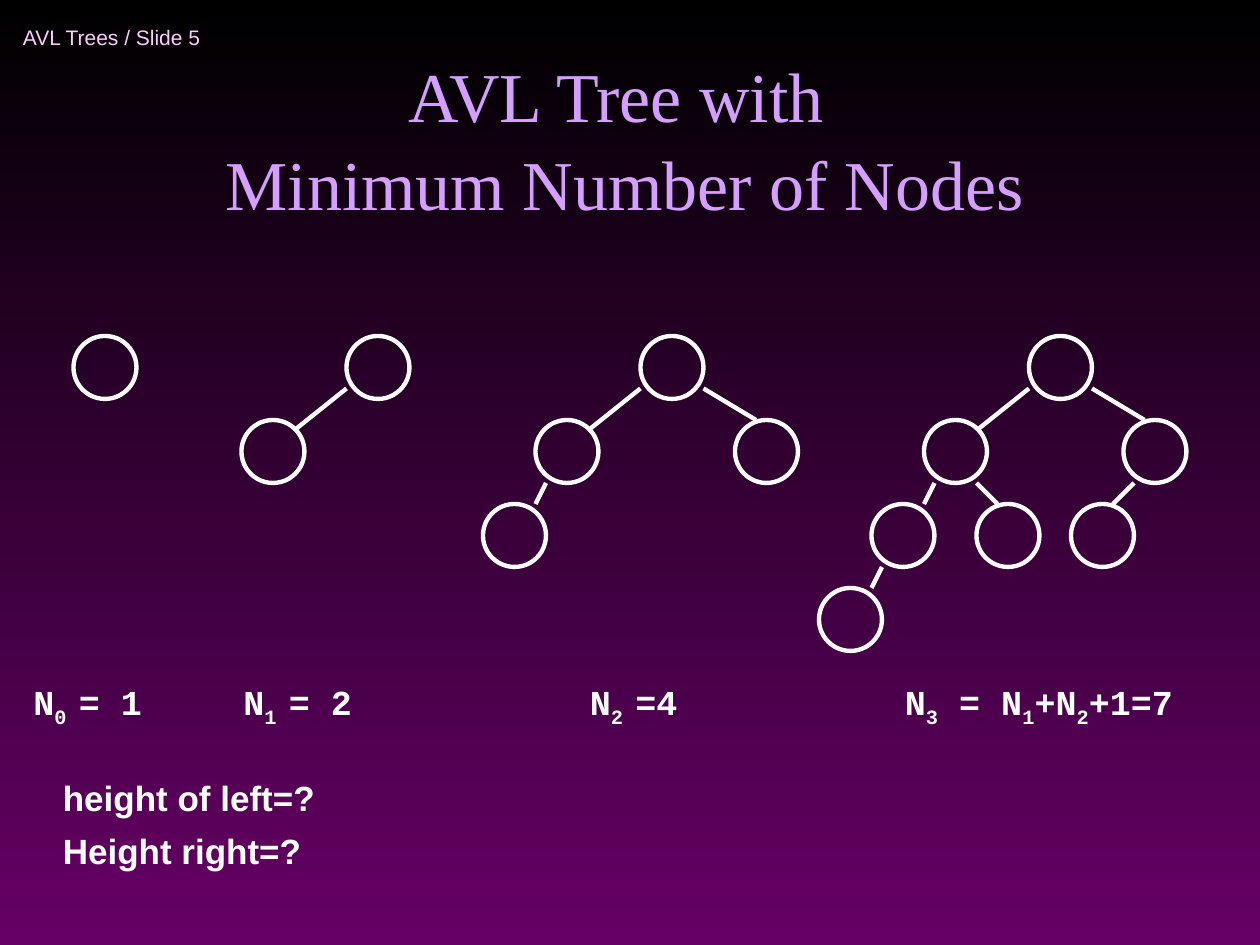
import dataclasses

import pptx
import pptx.dml.color
import pptx.enum.shapes
import pptx.enum.text
import pptx.oxml.ns
import pptx.util
from lxml import etree

Pt = pptx.util.Pt
Align = pptx.enum.text.PP_ALIGN
Anchor = pptx.enum.text.MSO_ANCHOR
Fit = pptx.enum.text.MSO_AUTO_SIZE


@dataclasses.dataclass(frozen=True)
class Theme:
    top: str = "000000"
    bottom: str = "660066"
    ink: str = "FFFFFF"
    title: str = "D49FFF"
    header: str = "FFCCFF"
    sans: str = "Arial"
    serif: str = "Times New Roman"
    mono: str = "Courier New"
    header_size: int = 12
    title_size: int = 40
    body_size: int = 20
    stroke: float = 2.5
    node: int = 36
    line_spacing: float = 1.05


def rgb(value):
    return pptx.dml.color.RGBColor.from_string(value)


class TreeSlide:
    def __init__(self, slide, theme):
        self.slide = slide
        self.theme = theme

    def background(self):
        fill = self.slide.background.fill
        fill.gradient()
        fill.gradient_angle = 270
        colours = (self.theme.top, self.theme.bottom)
        for stop, colour, position in zip(fill.gradient_stops, colours, (0, 1)):
            stop.color.rgb = rgb(colour)
            stop.position = position

    def frame(self, left, top, width, height, wrap=True, anchor=Anchor.TOP, fit=Fit.NONE):
        box = self.slide.shapes.add_textbox(Pt(left), Pt(top), Pt(width), Pt(height))
        frame = box.text_frame
        frame.word_wrap = wrap
        frame.vertical_anchor = anchor
        frame.auto_size = fit
        return frame

    def style(self, frame, font, size, colour, bold=False, align=Align.LEFT):
        for paragraph in frame.paragraphs:
            paragraph.alignment = align
            paragraph.line_spacing = self.theme.line_spacing
            for run in paragraph.runs:
                run.font.name = font
                run.font.size = Pt(size)
                run.font.bold = bold
                run.font.color.rgb = rgb(colour)

    def header(self, text):
        frame = self.frame(6, 6, 198, 30, wrap=False, anchor=Anchor.MIDDLE)
        frame.text = text
        self.style(frame, self.theme.sans, self.theme.header_size, self.theme.header)

    def title(self, text):
        frame = self.frame(48, 42, 618, 90, anchor=Anchor.BOTTOM)
        frame.text = text
        self.style(frame, self.theme.serif, self.theme.title_size, self.theme.title,
                   align=Align.CENTER)

    def formula(self, left, width, parts):
        frame = self.frame(left, 384, width, 34.6, fit=Fit.SHAPE_TO_FIT_TEXT)
        for index, part in enumerate(parts):
            run = frame.paragraphs[0].add_run()
            run.text = part
            if index % 2:
                run.font._element.set("baseline", "-25000")
        self.style(frame, self.theme.mono, self.theme.body_size, self.theme.ink, bold=True)

    def questions(self, lines):
        frame = self.frame(28.8, 439.2, 164.2, 60.5, wrap=False, fit=Fit.SHAPE_TO_FIT_TEXT)
        frame.text = "\n".join(lines)
        self.style(frame, self.theme.sans, self.theme.body_size, self.theme.ink, bold=True)
        for paragraph in frame.paragraphs[1:]:
            paragraph.space_before = Pt(5)

    def outline(self, shape):
        shape.line.color.rgb = rgb(self.theme.ink)
        shape.line.width = Pt(self.theme.stroke)

    def node(self, left, top):
        size = Pt(self.theme.node)
        circle = self.slide.shapes.add_shape(
            pptx.enum.shapes.MSO_SHAPE.OVAL, Pt(left), Pt(top), size, size)
        circle.shadow.inherit = False
        circle.fill.background()
        self.outline(circle)

    def edge(self, start, end):
        branch = self.slide.shapes.add_connector(
            pptx.enum.shapes.MSO_CONNECTOR.STRAIGHT, *map(Pt, start + end))
        self.outline(branch)
        etree.SubElement(branch._element.spPr, pptx.oxml.ns.qn("a:effectLst"))

    def tree(self, left, top, branches):
        self.node(left, top)
        for name in branches:
            child, start, end = BRANCHES[name]
            self.node(left + child[0], top + child[1])
            self.edge((left + start[0], top + start[1]), (left + end[0], top + end[1]))


BRANCHES = {
    "L": ((-60, 48), (0, 30), (-30, 54)),
    "R": ((54, 48), (36, 30), (66, 48)),
    "LL": ((-90, 96), (-54, 84), (-60, 96)),
    "LR": ((-30, 96), (-30, 84), (-18, 96)),
    "RL": ((24, 96), (60, 84), (48, 96)),
    "LLL": ((-120, 144), (-84, 132), (-90, 144)),
}

TREES = [
    (42, [], 12, 96, ["N", "0 ", "= 1"]),
    (198, ["L"], 132, 96, ["N", "1 ", "= 2"]),
    (366, ["L", "R", "LL"], 330, 96, ["N", "2 ", "=4"]),
    (588, ["L", "R", "LL", "LR", "RL", "LLL"], 510, 204,
     ["N", "3", " = N", "1", "+N", "2", "+1=7"]),
]


def main():
    deck = pptx.Presentation()
    deck.slide_width, deck.slide_height = Pt(720), Pt(540)
    page = TreeSlide(deck.slides.add_slide(deck.slide_layouts[6]), Theme())
    page.background()
    page.header("AVL Trees / Slide 5")
    page.title("AVL Tree with \vMinimum Number of Nodes")
    for root_left, branches, formula_left, formula_width, parts in TREES:
        page.tree(root_left, 192, branches)
        page.formula(formula_left, formula_width, parts)
    page.questions(["height of left=?", "Height right=?"])
    deck.save("out.pptx")


if __name__ == "__main__":
    main()
